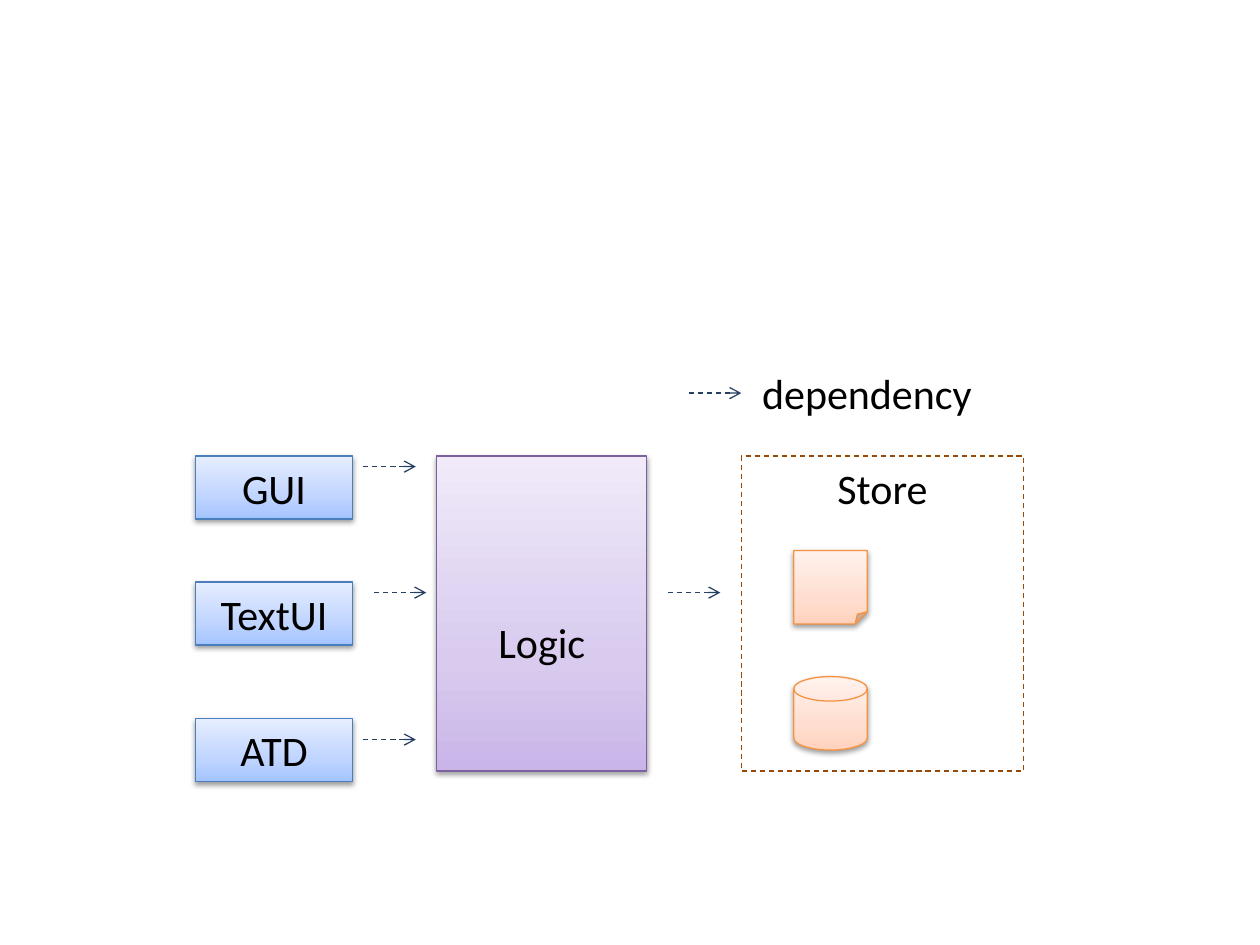
from copy import deepcopy
from dataclasses import dataclass

from pptx import Presentation
from pptx.dml.color import RGBColor
from pptx.enum.dml import MSO_LINE
from pptx.enum.shapes import MSO_CONNECTOR, MSO_SHAPE
from pptx.enum.text import MSO_ANCHOR, PP_ALIGN
from pptx.oxml import parse_xml
from pptx.oxml.ns import nsdecls, qn
from pptx.util import Inches, Pt


@dataclass(frozen=True)
class Theme:
    """Colours, type and line formats of the diagram."""
    font: str = "Calibri"
    size: float = 24
    line_width: float = 0.75
    text: str = "000000"
    arrow: str = "254061"
    frame: str = "984807"
    interface: tuple = ("4B7EBC", "A4C4FF", "BFD4FF", "E6EEFF")
    logic: tuple = ("7D60A0", "C9B5E8", "D8CBEE", "F0EAF9")
    storage: tuple = ("F69240", "FFD2BD", "FFDED0", "FFF2ED")
    stops: tuple = (0, 0.35, 1)


THEME = Theme()
LEFT, TOP, STEP = 1.55, 3.62, 1 / 12
ARROW_STEPS = 5


def grid(column, row):
    """Return the slide position of a grid point."""
    return Inches(LEFT + column * STEP), Inches(TOP + row * STEP)


def place(column, row, width, height):
    """Return left, top, width and height of a grid area."""
    return (*grid(column, row), Inches(width * STEP), Inches(height * STEP))


def apply(target, formats):
    """Set each named attribute on the target."""
    for name, value in formats.items():
        setattr(target, name, value)


def style_line(line, color, dashed=False):
    """Colour a line and make it solid or dashed."""
    line.color.rgb = RGBColor.from_string(color)
    dash = MSO_LINE.DASH if dashed else MSO_LINE.SOLID
    apply(line, {"width": Pt(THEME.line_width), "dash_style": dash})


def write(shape, text, align=PP_ALIGN.CENTER, anchor=MSO_ANCHOR.TOP, top=0.05):
    """Write one line of text into a shape."""
    frame = shape.text_frame
    apply(frame, {"word_wrap": True, "vertical_anchor": anchor,
                  "margin_top": Inches(top)})
    para = frame.paragraphs[0]
    para.alignment = align
    span = para.add_run()
    span.text = text
    apply(span.font, {"name": THEME.font, "size": Pt(THEME.size)})
    span.font.color.rgb = RGBColor.from_string(THEME.text)


def fill_gradient(shape, colors):
    """Fill a shape with three stops running upwards."""
    shape.fill.gradient()
    shape.fill.gradient_angle = 90
    stop_list = shape.element.spPr.find(qn("a:gradFill")).find(qn("a:gsLst"))
    stop_list.append(deepcopy(stop_list[0]))
    for stop, position, color in zip(shape.fill.gradient_stops, THEME.stops, colors):
        stop.position = position
        stop.color.rgb = RGBColor.from_string(color)


def add_shadow(shape):
    """Give a shape a soft shadow below it."""
    shape.shadow.inherit = False
    effects = shape.element.spPr.find(qn("a:effectLst"))
    effects.append(parse_xml(
        f'<a:outerShdw {nsdecls("a")} blurRad="{Pt(3.1)}" dist="{Pt(1.6)}" '
        'dir="5400000" rotWithShape="0"><a:srgbClr val="000000">'
        '<a:alpha val="38000"/></a:srgbClr></a:outerShdw>'))


def add_block(page, kind, area, palette):
    """Add a shaded block with a shadow."""
    block = page.shapes.add_shape(kind, *place(*area))
    outline, *colors = palette
    fill_gradient(block, colors)
    style_line(block.line, outline)
    add_shadow(block)
    return block


def add_frame(page, area):
    """Add an unfilled dashed frame."""
    frame = page.shapes.add_shape(MSO_SHAPE.RECTANGLE, *place(*area))
    frame.shadow.inherit = False
    frame.fill.background()
    style_line(frame.line, THEME.frame, dashed=True)
    return frame


def add_dependency(page, column, row):
    """Add a dashed arrow pointing right."""
    arrow = page.shapes.add_connector(
        MSO_CONNECTOR.STRAIGHT, *grid(column, row), *grid(column + ARROW_STEPS, row))
    style_line(arrow.line, THEME.arrow, dashed=True)
    arrow.line._get_or_add_ln().append(
        parse_xml(f'<a:tailEnd {nsdecls("a")} type="arrow"/>'))
    arrow.element.spPr.append(parse_xml(f'<a:effectLst {nsdecls("a")}/>'))


def main():
    """Build the dependency diagram."""
    deck = Presentation()
    apply(deck, {"slide_width": Inches(10), "slide_height": Inches(7.5)})
    page = deck.slides.add_slide(deck.slide_layouts[6])

    for name, row in (("GUI", 0), ("TextUI", 12), ("ATD", 25)):
        box = add_block(page, MSO_SHAPE.RECTANGLE, (0, row, 15, 6), THEME.interface)
        write(box, name, anchor=MSO_ANCHOR.MIDDLE)
    logic = add_block(page, MSO_SHAPE.RECTANGLE, (23, 0, 20, 30), THEME.logic)
    write(logic, "Logic", top=1.27)

    for column, row in ((16, 1), (17, 13), (16, 27), (47, -6), (45, 13)):
        add_dependency(page, column, row)
    legend = page.shapes.add_textbox(*place(52.8, -9, 28.2, 6))
    write(legend, "dependency", align=PP_ALIGN.LEFT)

    for kind, row in ((MSO_SHAPE.FOLDED_CORNER, 9),
                      (MSO_SHAPE.FLOWCHART_MAGNETIC_DISK, 21)):
        add_block(page, kind, (57, row, 7, 7), THEME.storage)
    write(add_frame(page, (52, 0, 26.9, 30)), "Store")

    deck.save("out.pptx")


if __name__ == "__main__":
    main()
